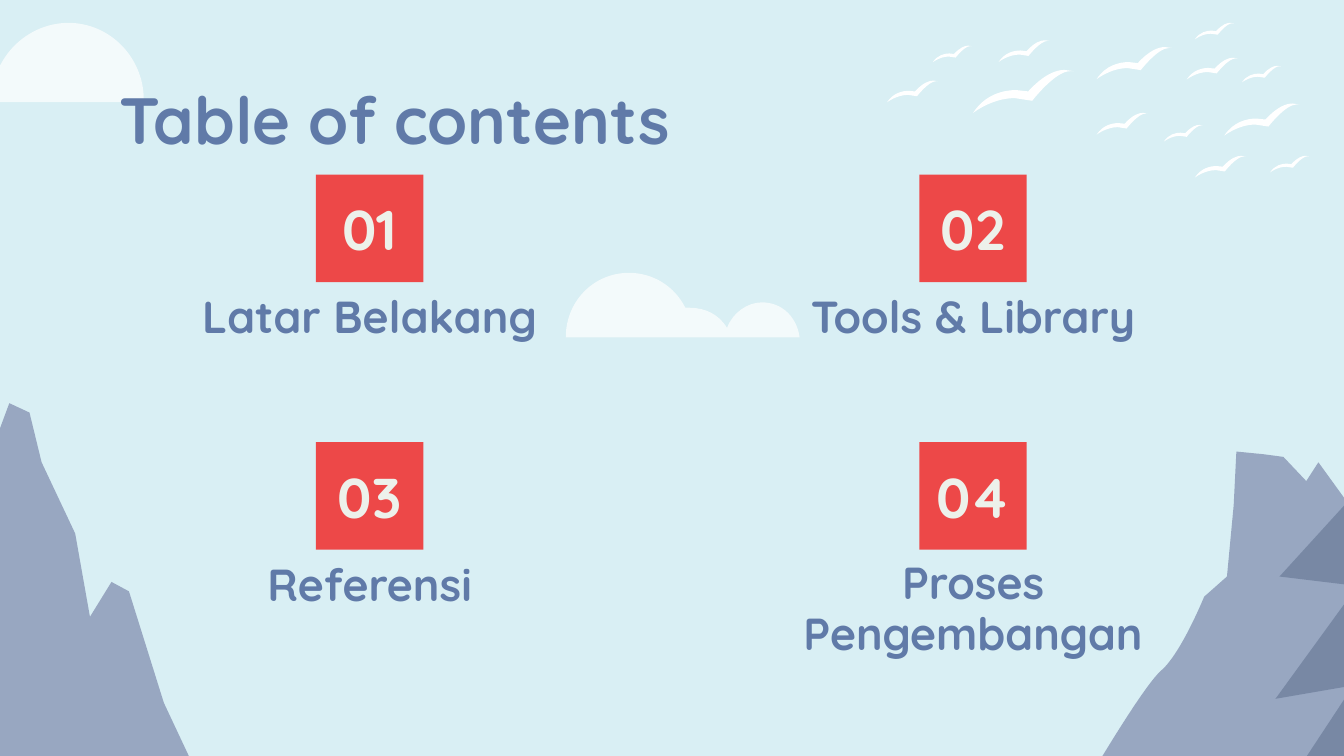
from lxml.etree import SubElement
from pptx import Presentation
from pptx.dml.color import RGBColor as RGB
from pptx.enum.shapes import MSO_SHAPE as SHAPE
from pptx.enum.text import MSO_ANCHOR as ANCHOR, PP_ALIGN as ALIGN
from pptx.oxml.ns import qn
from pptx.util import Pt

PX = 9144  # 100 px to the inch
INSET = 10 * PX
COLORS = {
    "sky": "D9EFF4",
    "white": "FFFFFF",
    "rock": "98A7C1",
    "shade": "667795",
    "tile": "ED4848",
    "number": "EDF1EB",
    "text": "607AA8",
}

presentation = Presentation()
presentation.slide_width = 1000 * PX
presentation.slide_height = 1000 * PX * 9 // 16
slide = presentation.slides.add_slide(presentation.slide_layouts[6])
slide.background.fill.solid()
slide.background.fill.fore_color.rgb = RGB.from_string(COLORS["sky"])


def draw_outline(start, segments, color, opacity=100, left=0, top=0, scale=1):
    """Segments hold an end point (2 values) or a Bezier curve (6 values)."""
    scaled = [[round(((left, top)[i % 2] + value * scale) * PX) for i, value in enumerate(values)]
              for values in (start, *segments)]
    builder = slide.shapes.build_freeform(*scaled[0])
    builder.add_line_segments([values[-2:] for values in scaled[1:]], close=True)
    shape = builder.convert_to_shape()
    shape.shadow.inherit = False
    shape.fill.solid()
    shape.fill.fore_color.rgb = RGB.from_string(COLORS[color])
    shape.line.fill.background()
    properties = shape._element.spPr
    # Turn the lines that have control points into curves
    for line, values in zip(list(properties.iter(qn("a:lnTo"))), scaled[1:]):
        if len(values) == 6:
            line.tag = qn("a:cubicBezTo")
            for x, y in (values[:2], values[2:4]):
                SubElement(line, qn("a:pt"), x=str(x - shape.left), y=str(y - shape.top))
            line.append(line[0])  # the end point comes last
    if opacity < 100:
        fill_color = properties.find(".//" + qn("a:srgbClr"))
        SubElement(fill_color, qn("a:alpha")).set("val", str(opacity * 1000))


def write_text(shape, text, anchor, align, spacing, font_format):
    frame = shape.text_frame
    frame.word_wrap = True
    frame.vertical_anchor = anchor
    for side in ("left", "right", "top", "bottom"):
        setattr(frame, f"margin_{side}", INSET)
    paragraph = frame.paragraphs[0]
    paragraph.alignment = align
    paragraph.line_spacing = spacing
    run = paragraph.add_run()
    run.text = text
    color, size = font_format
    for name, value in {"name": "Quicksand", "size": Pt(size), "bold": True}.items():
        setattr(run.font, name, value)
    run.font.color.rgb = RGB.from_string(COLORS[color])


# Sun behind the title
draw_outline((51, 17), [
    (20, 17, -6, 43, -6, 74), (-6, 76), (107, 76), (107, 74),
    (107, 43, 82, 17, 51, 17),
], "white", opacity=70)

# Flock of birds: one outline, 75 px wide, at several sizes
BIRD = [
    (62, 0, 53, 3, 41, 16), (32, 15), (23, 15, 9, 18, 0, 32),
    (0, 32, 14, 21, 31, 21), (44, 23), (44, 23, 61, 1, 72, 1), (75, 1),
]
FLOCK = {
    75: [(724, 52)],
    56: [(816, 35), (911, 77)],
    38: [(816, 84), (883, 43), (889, 116), (743, 30), (660, 60)],
    29: [(866, 93), (694, 34), (924, 49), (889, 17), (945, 116)],
}
for width, places in FLOCK.items():
    for left, top in places:
        draw_outline((68, 0), BIRD, "white", left=left, top=top, scale=width / 75)

# Right cliff with its shaded side
draw_outline((920, 336), [
    (918, 376), (913, 429), (896, 444), (896, 444, 879, 486, 864, 499),
    (849, 512, 801, 595, 801, 595), (1041, 595), (1041, 426), (1002, 373),
    (981, 344), (972, 358), (955, 340), (940, 338),
], "rock")
draw_outline((1003, 373), [
    (952, 429), (1010, 436), (949, 520), (1007, 510),
    (951, 595), (1041, 595), (1041, 426),
], "shade", opacity=64)

# Left cliff
draw_outline((7, 300), [
    (22, 307), (31, 344), (56, 397), (67, 459), (83, 433), (96, 440),
    (122, 523), (145, 572), (-52, 572), (-32, 405),
], "rock")

# Cloud
draw_outline((468, 203), [
    (442, 203, 421, 224, 421, 251), (595, 251), (593, 236, 582, 225, 567, 225),
    (556, 225, 545, 233, 541, 244), (535, 234, 525, 229, 513, 229),
    (510, 229), (502, 213, 486, 203, 468, 203),
], "white", opacity=70)

# Title
title = slide.shapes.add_textbox(79 * PX, 49 * PX, 843 * PX, 63 * PX)
write_text(title, "Table of contents", ANCHOR.TOP, ALIGN.LEFT, 1.0, ("text", 35))

# Contents: numbered tiles in two columns, each with its label below
TILE, LABEL_WIDTH = 80, 298
SECTIONS = [  # label, label height, line spacing
    ("Latar Belakang", 49, 1.0),
    ("Tools & Library", 49, 1.0),
    ("Referensi", 49, 1.0),
    ("Proses Pengembangan", 87, 0.95),
]
for index, (text, height, spacing) in enumerate(SECTIONS):
    row, column = divmod(index, 2)
    left, top = 235 + 449 * column, 130 + 199 * row
    tile = slide.shapes.add_shape(SHAPE.RECTANGLE, left * PX, top * PX, TILE * PX, TILE * PX)
    tile.shadow.inherit = False
    tile.fill.solid()
    tile.fill.fore_color.rgb = RGB.from_string(COLORS["tile"])
    tile.line.fill.background()
    write_text(tile, f"{index + 1:02d}", ANCHOR.MIDDLE, ALIGN.CENTER, 1.0, ("number", 30))

    label_left = left + (TILE - LABEL_WIDTH) // 2
    label = slide.shapes.add_textbox(label_left * PX, (top + 86) * PX, LABEL_WIDTH * PX, height * PX)
    write_text(label, text, ANCHOR.BOTTOM, ALIGN.CENTER, spacing, ("text", 24))

presentation.save("out.pptx")
